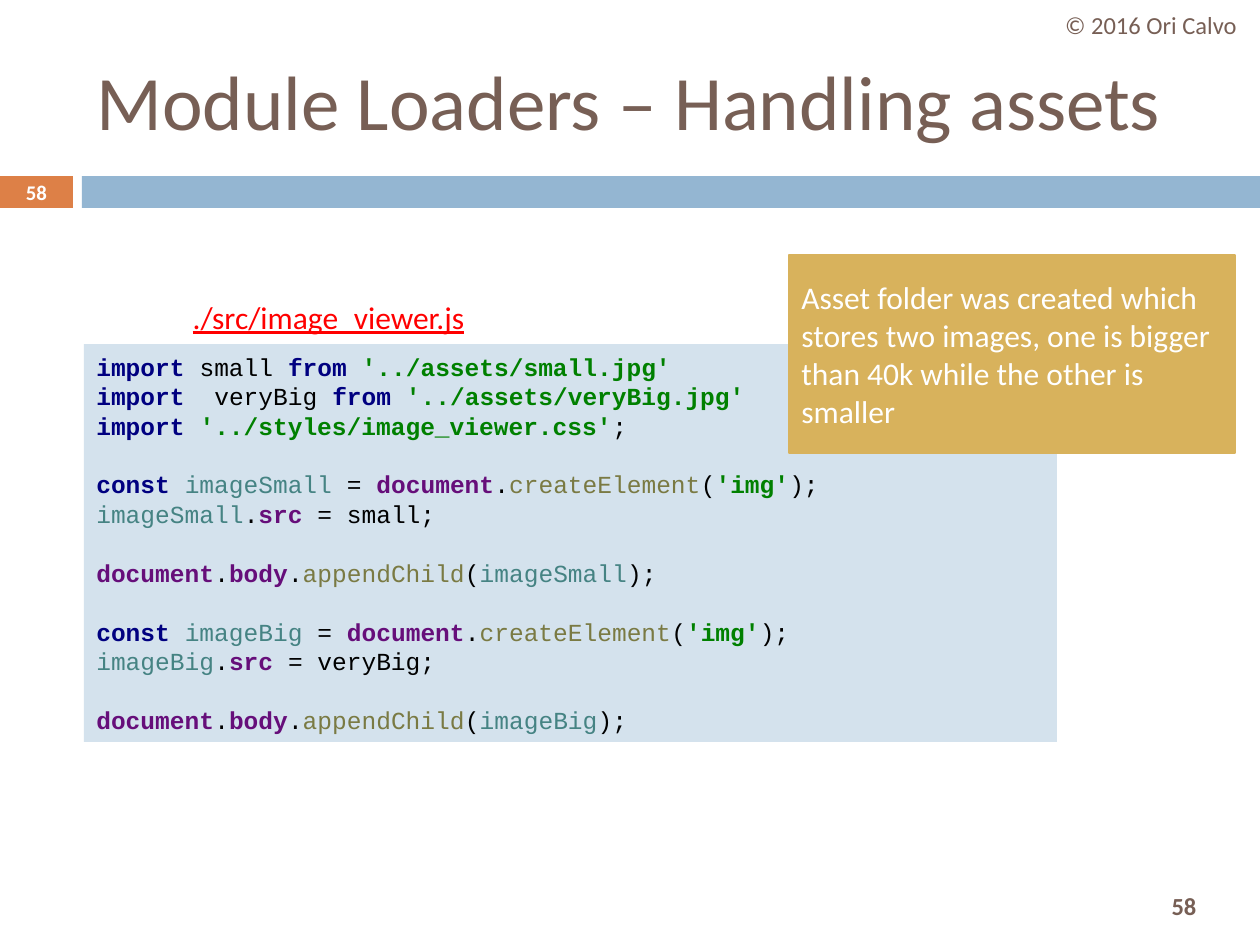
from copy import deepcopy
from dataclasses import dataclass

from pptx import Presentation
from pptx.dml.color import RGBColor
from pptx.enum.shapes import MSO_SHAPE
from pptx.enum.text import MSO_ANCHOR, PP_ALIGN
from pptx.oxml.ns import qn
from pptx.util import Inches, Pt

PX = Inches(1) / 126


@dataclass(frozen=True)
class Theme:
    body_font: str = "Calibri"
    code_font: str = "Courier New"
    brown: str = "775F55"
    orange: str = "DD8047"
    blue: str = "94B6D2"
    pale_blue: str = "D4E2ED"
    gold: str = "D8B25C"
    white: str = "FFFFFF"
    red: str = "FF0000"
    title_size: float = 44
    note_size: float = 18
    small_size: float = 14
    badge_size: float = 11.9


THEME = Theme()

# Syntax role: colour, bold
SYNTAX = {
    "plain": ("000000", False),
    "keyword": ("000080", True),
    "string": ("008000", True),
    "local": ("458383", False),
    "member": ("660E7A", True),
    "method": ("7A7A43", False),
}


def image_code(variable, source):
    """Lines that create an image element and add it to the page."""
    return [
        [],
        [("const ", "keyword"), (f"{variable} ", "local"), ("= ", "plain"),
         ("document", "member"), (".", "plain"), ("createElement", "method"),
         ("(", "plain"), ("'img'", "string"), (");", "plain")],
        [(variable, "local"), (".", "plain"), ("src ", "member"),
         (f"= {source};", "plain")],
        [],
        [("document", "member"), (".", "plain"), ("body", "member"),
         (".", "plain"), ("appendChild", "method"), ("(", "plain"),
         (variable, "local"), (");", "plain")],
    ]


CODE_LINES = [
    [("import ", "keyword"), ("small ", "plain"), ("from ", "keyword"),
     ("'../assets/small.jpg'", "string")],
    [("import  ", "keyword"), ("veryBig ", "plain"), ("from ", "keyword"),
     ("'../assets/veryBig.jpg'", "string")],
    [("import ", "keyword"), ("'../styles/image_viewer.css'", "string"),
     (";", "plain")],
    *image_code("imageSmall", "small"),
    *image_code("imageBig", "veryBig"),
]


def emu(box):
    return [round(length * PX) for length in box]


def style_font(font, name, size, color, bold=False):
    font.name = name
    font.size = Pt(size)
    font.bold = bold
    font.color.rgb = RGBColor.from_string(color)


def add_panel(slide, box, fill, line_width=0):
    panel = slide.shapes.add_shape(MSO_SHAPE.RECTANGLE, *emu(box))
    panel.shadow.inherit = False
    panel.fill.solid()
    panel.fill.fore_color.rgb = RGBColor.from_string(fill)
    if line_width:
        panel.line.color.rgb = RGBColor.from_string(fill)
        panel.line.width = Pt(line_width)
    else:
        panel.line.fill.background()
    return panel


def write(shape, text, size, color, align=PP_ALIGN.LEFT, bold=False):
    frame = shape.text_frame
    frame.text = text
    frame.word_wrap = True
    frame.vertical_anchor = MSO_ANCHOR.MIDDLE
    paragraph = frame.paragraphs[0]
    paragraph.alignment = align
    style_font(paragraph.runs[0].font, THEME.body_font, size, color, bold)
    return frame


def add_label(slide, box, text, size, color, **options):
    return write(slide.shapes.add_textbox(*emu(box)), text, size, color, **options)


def write_code(shape, lines):
    """Fill the shape with one paragraph whose line breaks keep the code size."""
    frame = shape.text_frame
    frame.word_wrap = True
    frame.vertical_anchor = MSO_ANCHOR.MIDDLE
    paragraph = frame.paragraphs[0]
    paragraph.alignment = PP_ALIGN.LEFT
    for index, line in enumerate(lines):
        if index:
            paragraph.add_line_break()
        for text, role in line:
            run = paragraph.add_run()
            run.text = text
            style_font(run.font, THEME.code_font, THEME.small_size, *SYNTAX[role])
    run_format = paragraph.runs[0]._r.rPr
    for line_break in paragraph._p.findall(qn("a:br")):
        line_break.append(deepcopy(run_format))


def main():
    deck = Presentation()
    deck.slide_width, deck.slide_height = Inches(10), Inches(7.5)
    slide = deck.slides.add_slide(deck.slide_layouts[6])

    add_panel(slide, (0, 176, 73, 32), THEME.orange)
    add_panel(slide, (82, 176, 1178, 32), THEME.blue)
    add_label(slide, (1126, 879, 116, 53), "58", THEME.small_size, THEME.brown,
              align=PP_ALIGN.CENTER, bold=True)
    add_label(slide, (84, 32, 1124, 136), "Module Loaders – Handling assets",
              THEME.title_size, THEME.brown)
    add_label(slide, (1042, 0, 218, 50), "© 2016 Ori Calvo",
              THEME.small_size, THEME.brown, align=PP_ALIGN.CENTER)
    add_label(slide, (0, 175, 73, 34), "58", THEME.badge_size, THEME.white,
              align=PP_ALIGN.CENTER, bold=True)

    write_code(add_panel(slide, (84, 344, 973, 398), THEME.pale_blue), CODE_LINES)

    file_name = add_label(slide, (180, 292, 297, 50), "./src/image_viewer.js",
                          THEME.note_size, THEME.red, align=PP_ALIGN.CENTER)
    file_name.word_wrap = False
    file_name.paragraphs[0].runs[0].font.underline = True

    callout = add_panel(slide, (789, 255, 446, 198), THEME.gold, line_width=1.5)
    write(callout, "Asset folder was created which stores two images, one is "
          "bigger than 40k while the other is smaller",
          THEME.note_size, THEME.white)

    deck.save("out.pptx")


if __name__ == "__main__":
    main()
